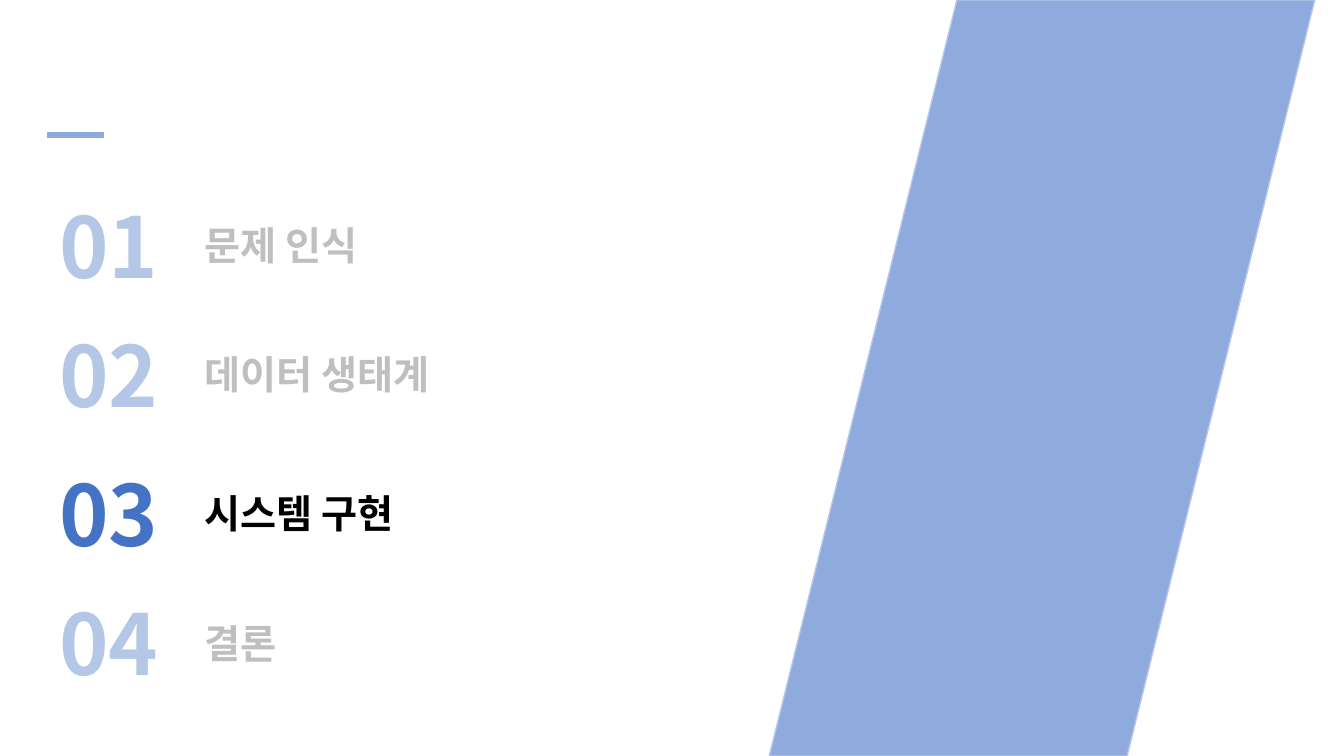
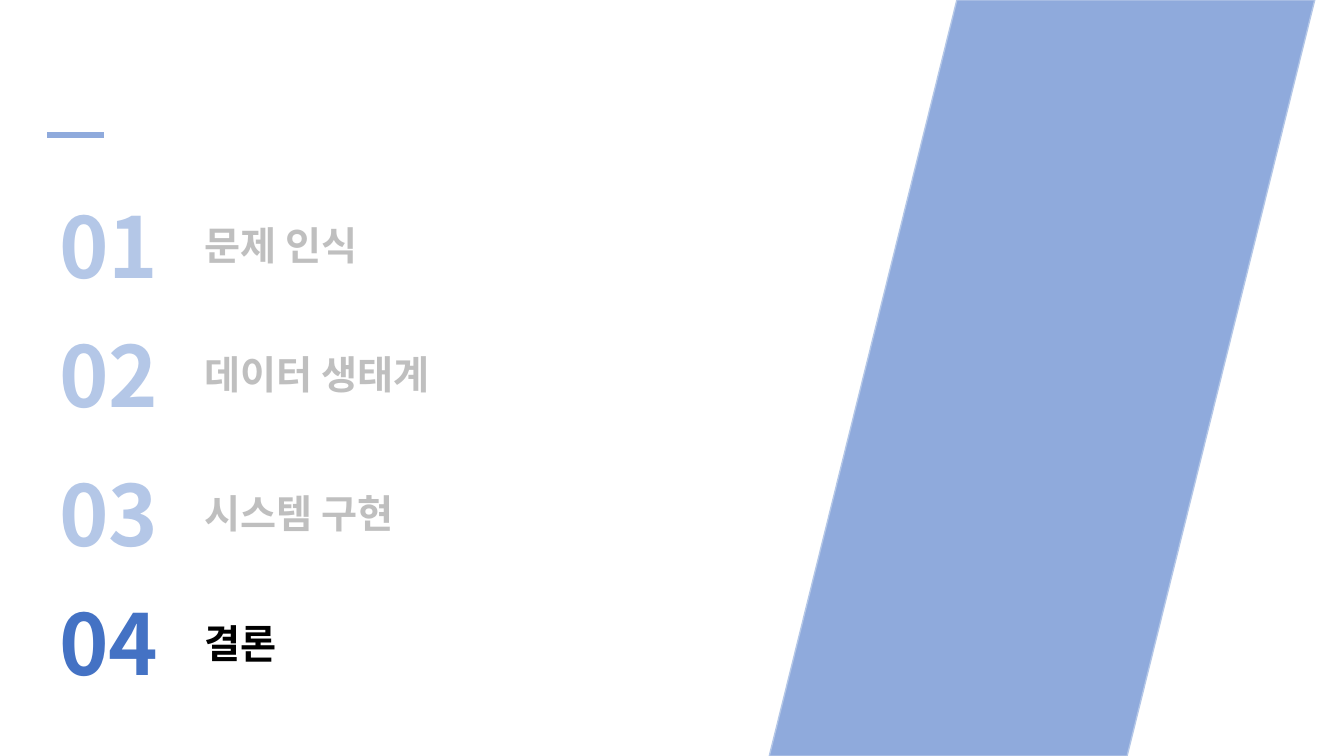
from pptx import Presentation
from pptx.dml.color import RGBColor
from pptx.enum.shapes import MSO_CONNECTOR, MSO_SHAPE
from pptx.enum.text import MSO_AUTO_SIZE
from pptx.oxml.ns import qn
from pptx.util import Inches, Pt

ACCENT = RGBColor(0x8F, 0xAA, 0xDC)
PALE_BLUE = RGBColor(0xB4, 0xC7, 0xE7)
STRONG_BLUE = RGBColor(0x44, 0x72, 0xC4)
GRAY = RGBColor(0xBF, 0xBF, 0xBF)
BLACK = RGBColor(0, 0, 0)
FONT = "Noto Sans CJK KR"

SECTIONS = ["문제 인식", "데이터 생태계", "시스템 구현", "결론"]
FIRST_TOP = 1.88
ROW_PITCH = 1.28
HALF_GAP = 0.1
LABEL_DROP = 0.27


def add_text(page, text, left, top, width, height, *, size, color, wrap=True):
    box = page.shapes.add_textbox(Inches(left), Inches(top), Inches(width), Inches(height))
    frame = box.text_frame
    frame.word_wrap = wrap
    frame.auto_size = MSO_AUTO_SIZE.SHAPE_TO_FIT_TEXT
    span = frame.paragraphs[0].add_run()
    span.text = text
    span.font.size = Pt(size)
    span.font.bold = True
    span.font.color.rgb = color
    span.font.name = FONT
    east_asian = span.font._element.makeelement(qn("a:ea"), {"typeface": FONT})
    span.font._element.find(qn("a:latin")).addnext(east_asian)


def add_accent_line(page):
    line = page.shapes.add_connector(
        MSO_CONNECTOR.STRAIGHT, Inches(0.47), Inches(1.34), Inches(1.03), Inches(1.34))
    line.line.color.rgb = ACCENT
    line.line.width = Pt(4.5)
    properties = line._element.spPr
    properties.append(properties.makeelement(qn("a:effectLst"), {}))


def add_slanted_band(page):
    band = page.shapes.add_shape(
        MSO_SHAPE.PARALLELOGRAM, Inches(7.63), 0, Inches(5.41), Inches(7.5))
    band.adjustments[0] = 0.344
    band.shadow.inherit = False
    band.fill.solid()
    band.fill.fore_color.rgb = ACCENT
    band.line.color.rgb = PALE_BLUE
    band.line.width = Pt(1)


def add_section_row(page, index, title, active):
    top = FIRST_TOP + index * ROW_PITCH + index // 2 * HALF_GAP
    add_text(page, title, 1.93, top + LABEL_DROP, 4.37, 0.57,
             size=28, color=BLACK if active else GRAY)
    add_text(page, f"{index + 1:02d}", 0.49, top, 1.25, 1.11,
             size=60, color=STRONG_BLUE if active else PALE_BLUE, wrap=False)


def add_agenda(deck, active_title):
    page = deck.slides.add_slide(deck.slide_layouts[6])
    add_accent_line(page)
    add_slanted_band(page)
    for index, title in enumerate(SECTIONS):
        add_section_row(page, index, title, title == active_title)


def main():
    deck = Presentation()
    deck.slide_width = Inches(13.33)
    deck.slide_height = Inches(7.5)
    for active_title in SECTIONS[2:]:
        add_agenda(deck, active_title)
    deck.save("out.pptx")


if __name__ == "__main__":
    main()
